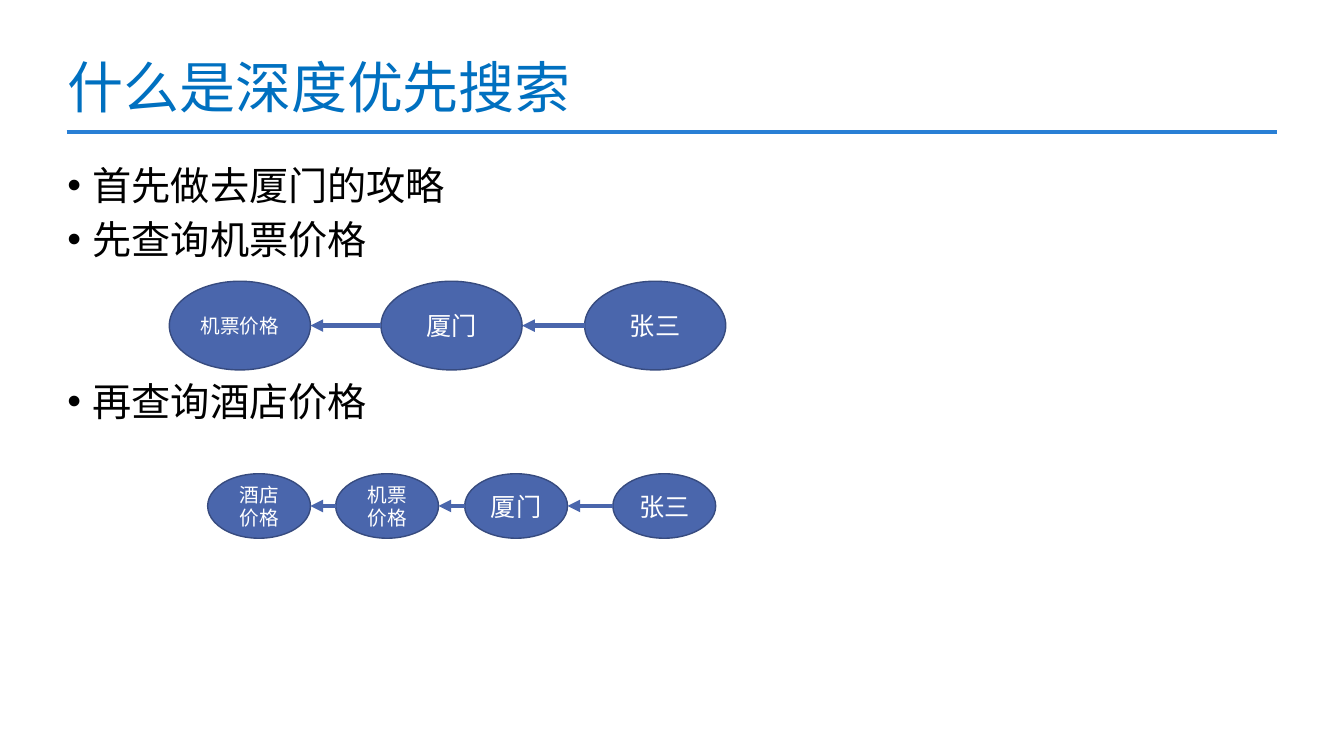
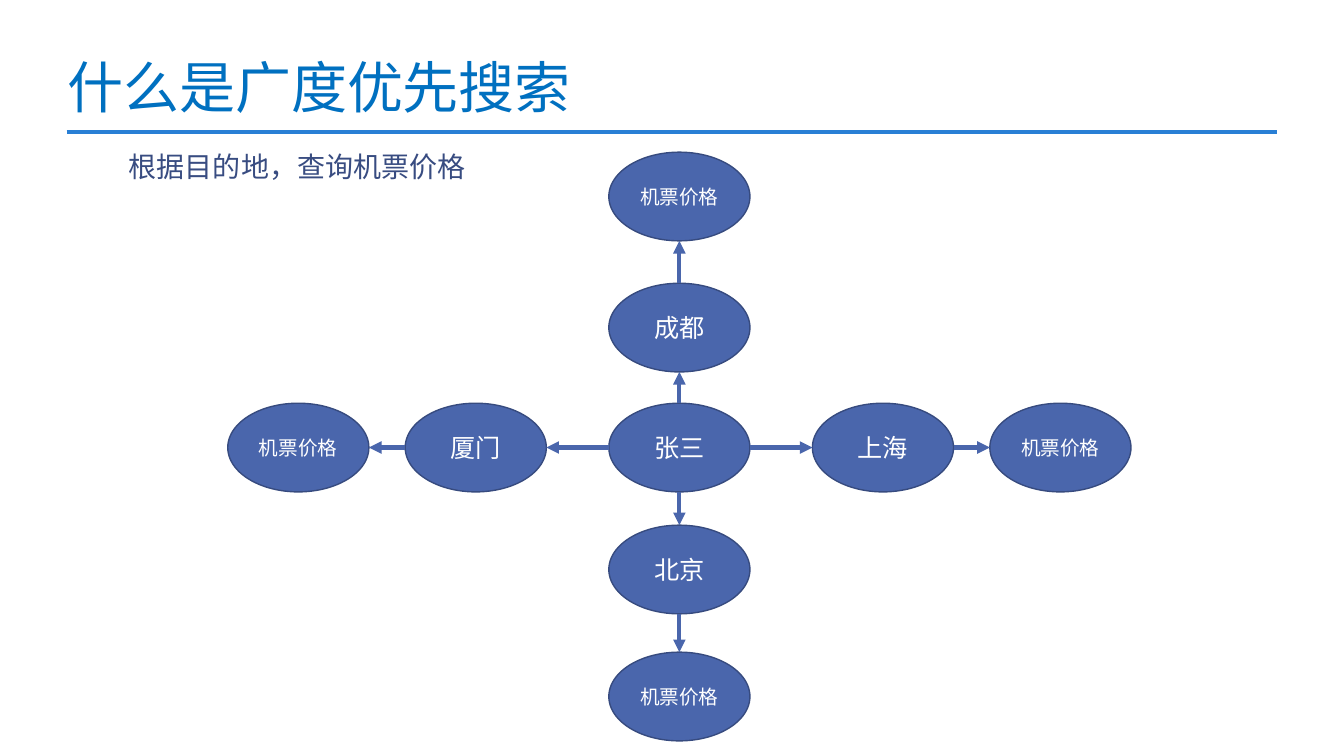
from dataclasses import dataclass
from itertools import pairwise

from lxml import etree
from pptx import Presentation
from pptx import util as u
from pptx.dml.color import RGBColor
from pptx.enum import lang, shapes, text
from pptx.oxml.ns import qn

# The grid has square cells, ten to the inch.
CELL = u.Inches(0.1)
SLIDE_COLS, SLIDE_ROWS = 133.33, 75

TITLE_BLUE = RGBColor(0x00, 0x70, 0xC0)
RULE_BLUE = RGBColor(0x29, 0x7F, 0xD5)
NODE_BLUE = RGBColor(0x4A, 0x66, 0xAC)
NODE_EDGE = RGBColor(0x37, 0x4B, 0x7F)
CAPTION_BLUE = RGBColor(0x38, 0x4C, 0x81)
BLACK = RGBColor(0, 0, 0)
WHITE = RGBColor(0xFF, 0xFF, 0xFF)

CJK_FONT = "Noto Sans CJK SC"
NODE_FONT = "Cabin"
STROKE = 3

BULLET_SIZE = 28
BULLET_LEADING = 30.2
BULLET_GAP = 8.4
DIAGRAM_GAP = BULLET_GAP + 2 * (BULLET_LEADING + BULLET_GAP)


@dataclass(frozen=True)
class Size:
    cols: float
    rows: float


LARGE = Size(14, 8.8)
SMALL = Size(10.2, 6.4)


@dataclass(frozen=True)
class Node:
    label: str
    col: float
    row: float
    size: Size = LARGE

    @property
    def centre(self) -> tuple[float, float]:
        return self.col + self.size.cols / 2, self.row + self.size.rows / 2


def cells(*counts: float) -> list[u.Emu]:
    return [u.Emu(round(count * CELL)) for count in counts]


def style(paragraph, font_name: str, size: float, color: RGBColor) -> None:
    """Set one font for Latin and Chinese text of a paragraph."""
    font = paragraph.font
    font.size = u.Pt(size)
    font.color.rgb = color
    font.name = font_name
    font.language_id = lang.MSO_LANGUAGE_ID.SIMPLIFIED_CHINESE
    properties = paragraph._p.pPr.find(qn("a:defRPr"))
    etree.SubElement(properties, qn("a:ea"), typeface=font_name)


def add_text_frame(slide, col: float, row: float, cols: float, rows: float):
    frame = slide.shapes.add_textbox(*cells(col, row, cols, rows)).text_frame
    frame.word_wrap = True
    return frame


def add_line(slide, start: tuple[float, float], end: tuple[float, float],
             color: RGBColor, arrow: bool = False) -> None:
    line = slide.shapes.add_connector(
        shapes.MSO_CONNECTOR.STRAIGHT, *cells(*start, *end))
    line.line.color.rgb = color
    line.line.width = u.Pt(STROKE)
    if arrow:
        etree.SubElement(line.line._get_or_add_ln(), qn("a:tailEnd"), type="triangle")
    etree.SubElement(line._element.spPr, qn("a:effectLst"))


def add_titled_slide(deck, title: str):
    slide = deck.slides.add_slide(deck.slide_layouts[6])
    add_line(slide, (6.6, 13.1), (126.7, 13.1), RULE_BLUE)
    frame = add_text_frame(slide, 5.7, 5.4, 124, 7)
    frame.vertical_anchor = text.MSO_ANCHOR.BOTTOM
    heading = frame.paragraphs[0]
    heading.text = title
    heading.line_spacing = u.Pt(40)
    style(heading, CJK_FONT, 40, TITLE_BLUE)
    return slide


def add_bullets(slide, bullets: list[tuple[str, float]]) -> None:
    """Write bullets, each given with the space before it in points."""
    frame = add_text_frame(slide, 5.7, 16, 120.8, 46.2)
    for index, (wording, gap) in enumerate(bullets):
        bullet = frame.add_paragraph() if index else frame.paragraphs[0]
        bullet.text = wording
        bullet.line_spacing = u.Pt(BULLET_LEADING)
        bullet.space_before = u.Pt(gap)
        properties = bullet._p.get_or_add_pPr()
        properties.set("marL", str(u.Inches(0.25)))
        properties.set("indent", str(-u.Inches(0.25)))
        etree.SubElement(properties, qn("a:buFont"), typeface="Arial")
        etree.SubElement(properties, qn("a:buChar"), char="•")
        style(bullet, CJK_FONT, BULLET_SIZE, BLACK)


def add_caption(slide, wording: str) -> None:
    caption = add_text_frame(slide, 11.8, 14.3, 109.8, 4.4).paragraphs[0]
    caption.text = wording
    caption.line_spacing = u.Pt(24)
    style(caption, CJK_FONT, 20, CAPTION_BLUE)


def add_node(slide, node: Node) -> None:
    oval = slide.shapes.add_shape(
        shapes.MSO_SHAPE.OVAL,
        *cells(node.col, node.row, node.size.cols, node.size.rows))
    oval.shadow.inherit = False
    oval.fill.solid()
    oval.fill.fore_color.rgb = NODE_BLUE
    oval.line.color.rgb = NODE_EDGE
    oval.line.width = u.Pt(1)
    frame = oval.text_frame
    frame.word_wrap = True
    frame.margin_left = frame.margin_right = u.Inches(0.08)
    frame.vertical_anchor = text.MSO_ANCHOR.MIDDLE
    label = frame.paragraphs[0]
    label.text = node.label
    label.alignment = text.PP_ALIGN.CENTER
    style(label, NODE_FONT, 18 if len(node.label) == 2 else 14, WHITE)


def rim(node: Node, other: Node) -> tuple[float, float]:
    """Find the point of a node's outline that faces another node."""
    (x, y), (other_x, other_y) = node.centre, other.centre
    dx, dy = other_x - x, other_y - y
    if abs(dx) > abs(dy):
        return x + (node.size.cols / 2 if dx > 0 else -node.size.cols / 2), y
    return x, y + (node.size.rows / 2 if dy > 0 else -node.size.rows / 2)


def add_chains(slide, chains: list[list[Node]]) -> None:
    """Draw every node once and an arrow along each step of a chain."""
    for node in dict.fromkeys(node for chain in chains for node in chain):
        add_node(slide, node)
    for chain in chains:
        for source, target in pairwise(chain):
            add_line(slide, rim(source, target), rim(target, source),
                     NODE_BLUE, arrow=True)


def add_depth_first(deck) -> None:
    slide = add_titled_slide(deck, "什么是深度优先搜索")
    add_bullets(slide, [
        ("首先做去厦门的攻略", 0),
        ("先查询机票价格", BULLET_GAP),
        ("再查询酒店价格", DIAGRAM_GAP),
    ])
    flight_search = [("张三", 58), ("厦门", 37.8), ("机票价格", 16.8)]
    hotel_search = [("张三", 60.8), ("厦门", 46.1),
                    ("机票价格", 33.3), ("酒店价格", 20.6)]
    add_chains(slide, [
        [Node(label, col, 27.9) for label, col in flight_search],
        [Node(label, col, 47, SMALL) for label, col in hotel_search],
    ])


def add_breadth_first(deck) -> None:
    slide = add_titled_slide(deck, "什么是广度优先搜索")
    add_caption(slide, "根据目的地，查询机票价格")
    col, row = 60.4, 40
    city_step, price_step = 20.2, 37.8
    traveller = Node("张三", col, row)
    price = "机票价格"
    add_chains(slide, [
        [traveller, Node("成都", col, 28.1), Node(price, col, 15.1)],
        [traveller, Node("北京", col, 52.1), Node(price, col, 64.7)],
        [traveller, Node("厦门", col - city_step, row),
         Node(price, col - price_step, row)],
        [traveller, Node("上海", col + city_step, row),
         Node(price, col + price_step, row)],
    ])


def main() -> None:
    deck = Presentation()
    deck.slide_width, deck.slide_height = cells(SLIDE_COLS, SLIDE_ROWS)
    add_depth_first(deck)
    add_breadth_first(deck)
    deck.save("out.pptx")


if __name__ == "__main__":
    main()
